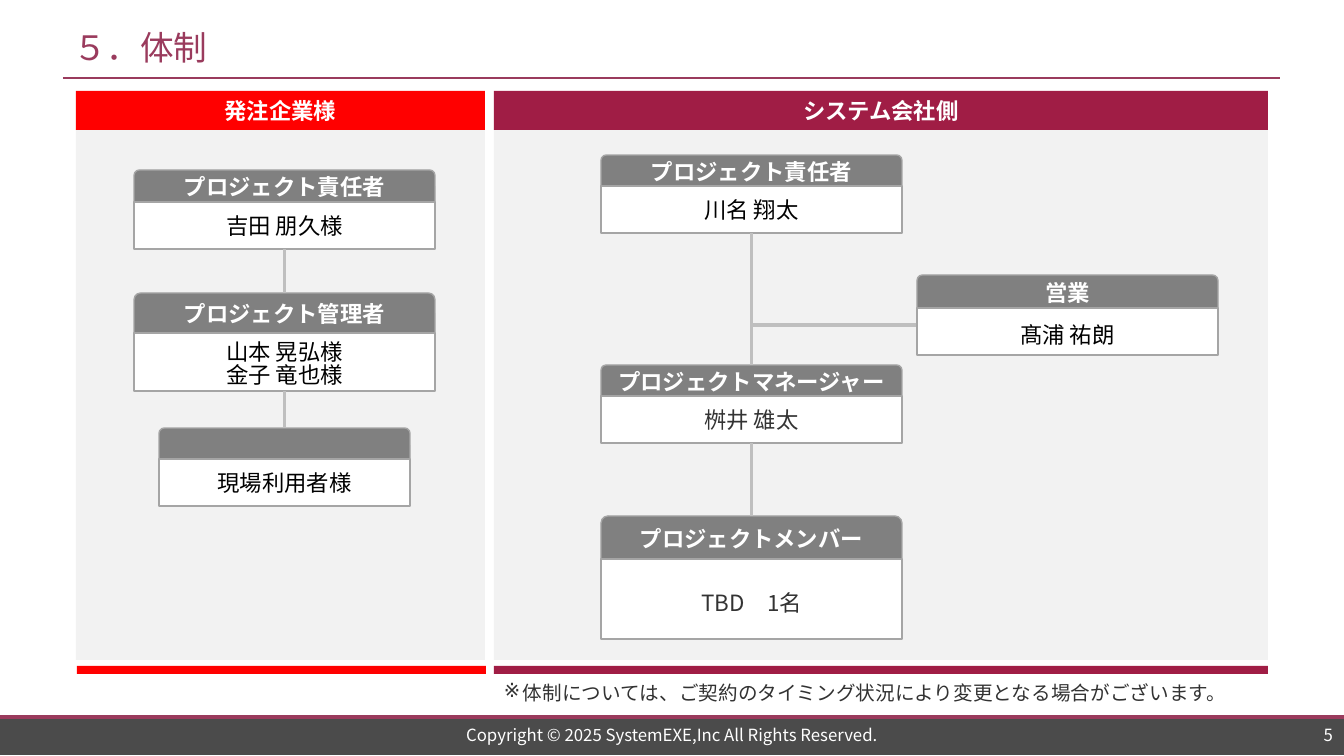
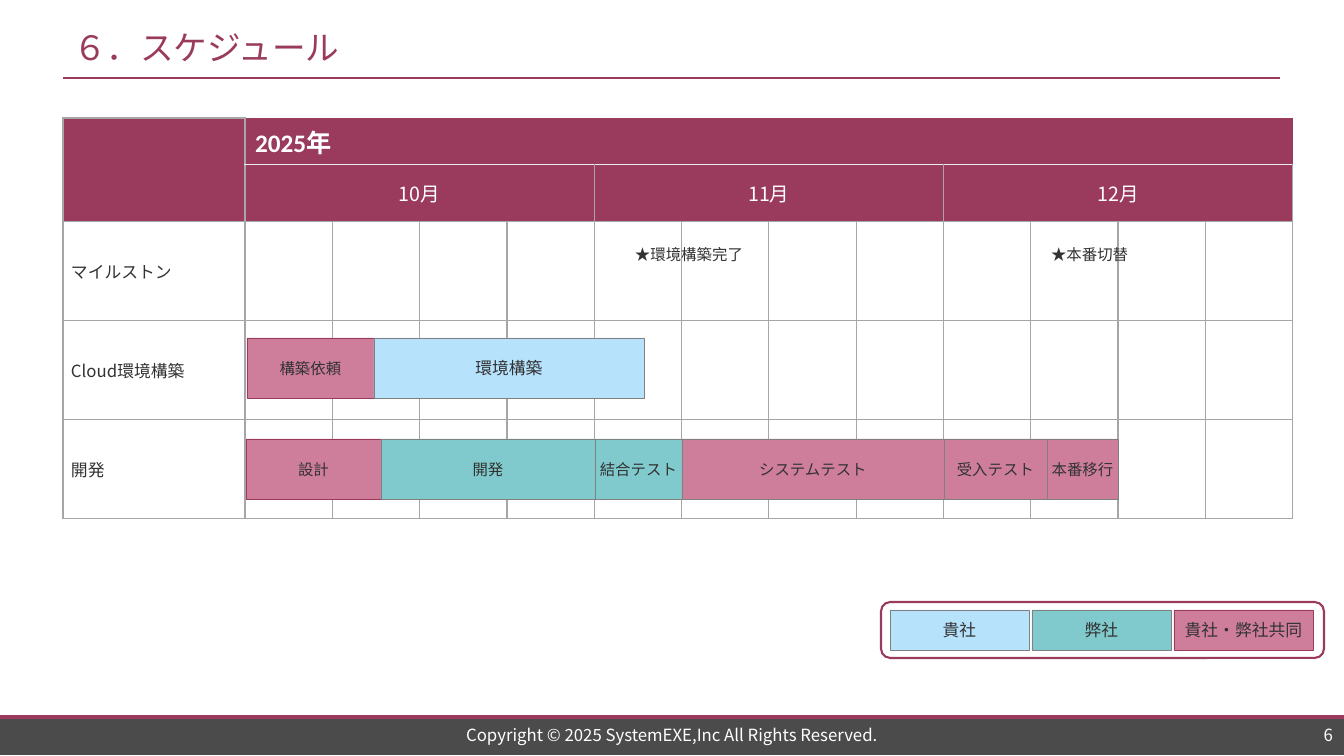
from dataclasses import dataclass
from itertools import pairwise

import pptx
import pptx.dml.color
import pptx.enum.shapes
import pptx.enum.text
import pptx.oxml.ns
import pptx.util
from lxml import etree

SCALE = 914400 / 100.8  # EMU per px
WIDTH, HEIGHT = 1344, 756

PLUM, CRIMSON, RED = "9A3B5D", "A01D45", "FF0000"
WHITE, BLACK, INK, SOFT_INK = "FFFFFF", "000000", "323232", "333333"
PANEL, CARD_HEAD, CARD_EDGE, LINK = "F2F2F2", "808080", "A5A5A5", "BFBFBF"
FOOTER, BAR_EDGE, GRID, GRID_LIGHT = "4B4B4B", "808080", "A6A6A6", "EDEDED"
CLIENT, VENDOR, JOINT = "B6E2FC", "80C9CC", "CE7E9B"
SANS, ARIAL, CALIBRI = "Noto Sans CJK JP", "Arial", "Calibri"

Shape = pptx.enum.shapes.MSO_SHAPE
Align = pptx.enum.text.PP_ALIGN
Anchor = pptx.enum.text.MSO_ANCHOR
Slide = pptx.slide.Slide
AutoShape = pptx.shapes.autoshape.Shape
Connector = pptx.shapes.connector.Connector


@dataclass(frozen=True)
class Panel:
    name: str
    left: int
    width: int
    color: str
    foot_left: int


@dataclass(frozen=True)
class Card:
    role: str
    people: str
    left: int
    top: int
    head: int = 31
    body: int = 47
    width: int = 301
    color: str = BLACK
    font: str = ARIAL
    inset_top: int = 5
    line_spacing: float = 1.0


@dataclass(frozen=True)
class Bar:
    label: str
    left: int
    right: int
    fill: str
    edge: str = BAR_EDGE
    size: int = 11


PANELS = [
    Panel("発注企業様", 76, 409, RED, 77),
    Panel("システム会社側", 494, 774, CRIMSON, 494),
]
CLIENT_CARDS = [
    Card("プロジェクト責任者", "吉田 朋久様", 134, 170, head=32, font=SANS),
    Card("プロジェクト管理者", "山本 晃弘様\n金子 竜也様", 134, 293, head=40, body=58,
         inset_top=12, line_spacing=0.84),
    Card("", "現場利用者様", 159, 428, width=251),
]
VENDOR_CARDS = [
    Card("プロジェクト責任者", "川名 翔太", 601, 155),
    Card("プロジェクトマネージャー", "桝井 雄太", 601, 365, color=SOFT_INK, font=SANS),
    Card("プロジェクトメンバー", "TBD　1名", 601, 516, head=43, body=80,
         color=SOFT_INK, font=SANS, inset_top=12),
]
SALES_CARD = Card("営業", "髙浦 祐朗", 917, 275, head=33, inset_top=12)

MONTHS = ["10月", "11月", "12月"]
WEEKS = 4
TASKS = ["マイルストン", "Cloud環境構築", "開発"]
BAR_ROWS = {
    338: [
        Bar("構築依頼", 247, 374, JOINT, PLUM),
        Bar("環境構築", 374, 644, CLIENT, size=12),
    ],
    439: [
        Bar("設計", 246, 381, JOINT, PLUM),
        Bar("開発", 381, 595, VENDOR),
        Bar("結合テスト", 595, 682, VENDOR),
        Bar("システムテスト", 682, 944, JOINT),
        Bar("受入テスト", 944, 1047, JOINT),
        Bar("本番移行", 1047, 1118, JOINT),
    ],
}
LEGEND = [("貴社", CLIENT, BAR_EDGE), ("弊社", VENDOR, BAR_EDGE), ("貴社・弊社共同", JOINT, PLUM)]
MILESTONES = [("★環境構築完了", 625, 145), ("★本番切替", 1041, 124)]


def px(length: float) -> int:
    return round(length * SCALE)


def rgb(value: str) -> pptx.dml.color.RGBColor:
    return pptx.dml.color.RGBColor.from_string(value)


def write(frame, text: str, *, size: int, color: str, font: str = SANS, bold: bool = False,
          align=Align.LEFT, line_spacing: float = 1.0) -> None:
    """Fill a text frame, one paragraph per line of text."""
    for index, line in enumerate(text.split("\n")):
        para = frame.paragraphs[0] if index == 0 else frame.add_paragraph()
        para.alignment = align
        if line_spacing != 1.0:
            para.line_spacing = line_spacing
        span = para.add_run()
        span.text = line
        span.font.size = pptx.util.Pt(size)
        span.font.bold = bold
        span.font.color.rgb = rgb(color)
        span.font.name = font
        east_asian = etree.SubElement(span.font._element, pptx.oxml.ns.qn("a:ea"))
        east_asian.set("typeface", SANS)


def set_frame(frame, insets: tuple[int, int, int, int], anchor) -> None:
    """Set wrapping, anchor and the left, top, right and bottom insets."""
    frame.word_wrap = True
    frame.auto_size = pptx.enum.text.MSO_AUTO_SIZE.NONE
    frame.vertical_anchor = anchor
    frame.margin_left, frame.margin_top, frame.margin_right, frame.margin_bottom = map(px, insets)


def add_box(page: Slide, left: int, top: int, width: int, height: int, *, fill: str = "",
            edge: str = "", weight: float = 1, kind=Shape.RECTANGLE,
            insets: tuple[int, int, int, int] = (4, 5, 4, 5), text: str = "", **style) -> AutoShape:
    box = page.shapes.add_shape(kind, px(left), px(top), px(width), px(height))
    box.shadow.inherit = False
    if fill:
        box.fill.solid()
        box.fill.fore_color.rgb = rgb(fill)
    else:
        box.fill.background()
    if edge:
        box.line.color.rgb = rgb(edge)
        box.line.width = pptx.util.Pt(weight)
    else:
        box.line.fill.background()
    if text:
        set_frame(box.text_frame, insets, Anchor.MIDDLE)
        write(box.text_frame, text, align=Align.CENTER, **style)
    return box


def add_text(page: Slide, left: int, top: int, width: int, height: int, text: str, *,
             anchor=Anchor.TOP, **style):
    box = page.shapes.add_textbox(px(left), px(top), px(width), px(height))
    set_frame(box.text_frame, (10, 5, 10, 5), anchor)
    write(box.text_frame, text, **style)
    return box


def add_line(page: Slide, x1: float, y1: float, x2: float, y2: float, color: str,
             weight: float) -> Connector:
    line = page.shapes.add_connector(pptx.enum.shapes.MSO_CONNECTOR.STRAIGHT,
                                     px(x1), px(y1), px(x2), px(y2))
    line.line.color.rgb = rgb(color)
    line.line.width = pptx.util.Pt(weight)
    etree.SubElement(line._element.spPr, pptx.oxml.ns.qn("a:effectLst"))
    return line


def add_page(deck, title: str, number: int) -> Slide:
    """Add a slide with the shared title, rule and footer."""
    page = deck.slides.add_slide(deck.slide_layouts[5])
    heading = page.shapes.title
    heading.left, heading.top, heading.width, heading.height = map(px, (63, 20, 1217, 55))
    set_frame(heading.text_frame, (10, 5, 10, 5), Anchor.MIDDLE)
    write(heading.text_frame, title, size=24, color=PLUM)
    add_box(page, 0, 716, WIDTH, 39, fill=FOOTER)
    add_line(page, 0, 717, WIDTH, 717, PLUM, 2.75)
    add_line(page, 63, 78, 1280, 78, PLUM, 1.5)
    footer = {"anchor": Anchor.MIDDLE, "size": 12, "color": WHITE}
    add_text(page, 335, 723, 674, 24, "Copyright © 2025 SystemEXE,Inc All Rights Reserved.",
             align=Align.CENTER, **footer)
    add_text(page, 1185, 723, 158, 24, str(number), align=Align.RIGHT, **footer)
    return page


def add_panel(page: Slide, panel: Panel) -> None:
    add_box(page, panel.left, 129, panel.width, 531, fill=PANEL)
    add_box(page, panel.left, 91, panel.width, 39, fill=panel.color, text=panel.name,
            size=16, color=WHITE, font=ARIAL, bold=True)
    add_box(page, panel.foot_left, 666, panel.width, 8, fill=panel.color)


def add_card(page: Slide, card: Card) -> AutoShape:
    """Draw a role over its people and return the lower box."""
    add_box(page, card.left, card.top, card.width, card.head, fill=CARD_HEAD, edge=CARD_EDGE,
            kind=Shape.ROUND_2_SAME_RECTANGLE, text=card.role, size=16, color=WHITE,
            font=ARIAL, bold=True)
    return add_box(page, card.left, card.top + card.head, card.width, card.body, fill=WHITE,
                   edge=CARD_EDGE, insets=(4, card.inset_top, 4, 5), text=card.people, size=16,
                   color=card.color, font=card.font, line_spacing=card.line_spacing)


def add_chain(page: Slide, cards: list[Card]) -> None:
    """Draw cards from top to bottom, each linked to the next."""
    bodies = [add_card(page, card) for card in cards]
    for body, (upper, lower) in zip(bodies, pairwise(cards)):
        center = upper.left + upper.width / 2
        link = add_line(page, center, upper.top + upper.head + upper.body, center, lower.top,
                        LINK, 2.25)
        link.begin_connect(body, 2)


def build_team(deck) -> None:
    page = add_page(deck, "５．体制", 5)
    for panel in PANELS:
        add_panel(page, panel)
    add_line(page, SALES_CARD.left, 325, 751, 325, LINK, 2.25)
    add_chain(page, CLIENT_CARDS)
    add_chain(page, VENDOR_CARDS)
    add_card(page, SALES_CARD)
    note = add_text(page, 494, 676, 786, 44,
                    "体制については、ご契約のタイミング状況により変更となる場合がございます。",
                    size=14, color=INK)
    properties = note.text_frame.paragraphs[0]._p.get_or_add_pPr()
    properties.set("marL", str(px(19)))
    properties.set("indent", str(px(-19)))
    etree.SubElement(properties, pptx.oxml.ns.qn("a:buChar")).set("char", "※")


def format_cell(cell, fill: str, **sides: str) -> None:
    """Set fill and borders; sides L, R, T, B override the grid colour."""
    properties = cell._tc.get_or_add_tcPr()
    for side in "LRTB":
        color = sides.get(side, GRID)
        border = etree.SubElement(properties, pptx.oxml.ns.qn(f"a:ln{side}"))
        border.set("w", str(pptx.util.Pt(0.5 if color == PLUM else 1)))
        paint = etree.SubElement(border, pptx.oxml.ns.qn("a:solidFill"))
        etree.SubElement(paint, pptx.oxml.ns.qn("a:srgbClr")).set("val", color)
    if fill:
        cell.fill.solid()
        cell.fill.fore_color.rgb = rgb(fill)
    else:
        cell.fill.background()


def fill_cell(cell, text: str, left: int, **style) -> None:
    cell.vertical_anchor = Anchor.MIDDLE
    cell.margin_left, cell.margin_right = px(left), 0
    cell.margin_top = cell.margin_bottom = px(4)
    write(cell.text_frame, text, **style)


def add_calendar(page: Slide) -> None:
    heights = [46, 57, 99, 99, 99]
    weeks = len(MONTHS) * WEEKS
    table = page.shapes.add_table(len(heights), weeks + 1, px(63), px(118), px(1230),
                                  px(sum(heights))).table
    table.first_row = table.horz_banding = False
    for index, column in enumerate(table.columns):
        column.width = px(1048 / weeks) if index else px(182)
    for row, height in zip(table.rows, heights):
        row.height = px(height)
    year_sides = {"T": PLUM, "R": PLUM, "B": GRID_LIGHT}
    for row in range(len(heights)):
        for column in range(weeks + 1):
            sides = {}
            if column and row < 2:
                sides = year_sides if row == 0 else {"T": GRID_LIGHT}
            format_cell(table.cell(row, column), PLUM if row < 2 else "", **sides)
    table.cell(0, 0).merge(table.cell(1, 0))
    table.cell(0, 1).merge(table.cell(0, weeks))
    write(table.cell(0, 1).text_frame, "2025年", size=18, color=WHITE, font=CALIBRI, bold=True)
    for index, month in enumerate(MONTHS):
        first = 1 + index * WEEKS
        table.cell(1, first).merge(table.cell(1, first + WEEKS - 1))
        fill_cell(table.cell(1, first), month, 0, size=14, color=WHITE, align=Align.CENTER)
    for row, task in enumerate(TASKS, start=2):
        fill_cell(table.cell(row, 0), task, 8, size=12, color=INK)


def build_schedule(deck) -> None:
    page = add_page(deck, "６．スケジュール", 6)
    add_calendar(page)
    for top, bars in BAR_ROWS.items():
        for bar in bars:
            add_box(page, bar.left, top, bar.right - bar.left, 60, fill=bar.fill, edge=bar.edge,
                    weight=0.5, insets=(0, 4, 0, 4), text=bar.label, size=bar.size, color=INK)
    for label, left, width in MILESTONES:
        add_text(page, left, 240, width, 29, label, size=11, color=INK)
    add_box(page, 881, 602, 443, 56, edge=PLUM, weight=1.5, kind=Shape.ROUNDED_RECTANGLE)
    for index, (label, fill, edge) in enumerate(LEGEND):
        add_box(page, 890 + index * 142, 610, 139, 40, fill=fill, edge=edge, weight=0.5,
                insets=(0, 5, 0, 5), text=label, size=12, color=INK)


def main() -> None:
    deck = pptx.Presentation()
    deck.slide_width, deck.slide_height = px(WIDTH), px(HEIGHT)
    build_team(deck)
    build_schedule(deck)
    deck.save("out.pptx")


if __name__ == "__main__":
    main()
